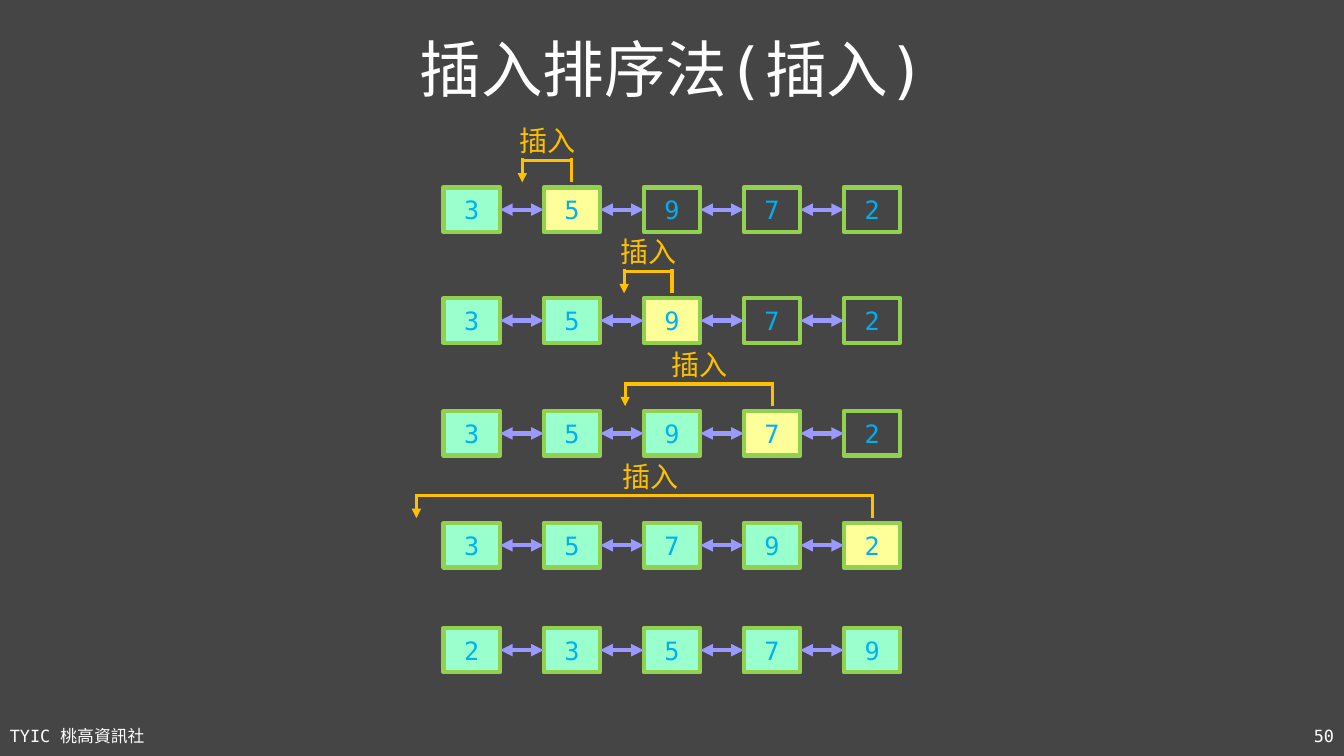
"""Build a slide that traces the insert step of insertion sort."""
from dataclasses import dataclass

from lxml.etree import SubElement
from pptx import Presentation
from pptx.dml.color import RGBColor
from pptx.enum.shapes import MSO_CONNECTOR, MSO_SHAPE
from pptx.enum.text import MSO_ANCHOR, MSO_AUTO_SIZE, PP_ALIGN
from pptx.oxml.ns import qn
from pptx.util import Inches, Pt

TITLE = "插入排序法(插入)"
CLUB = "TYIC 桃高資訊社"
PAGE = "50"
LABEL = "插入"

# top, digits, sorted count, active cell, hook target x, label left
STEPS = [
    (1.86, "35972", 1, 1, 5.18, 5.05),
    (2.96, "35972", 2, 2, 6.19, 6.05),
    (4.08, "35972", 3, 3, 6.20, 6.56),
    (5.19, "35792", 4, 4, 4.13, 6.07),
    (6.23, "23579", 5, None, None, None),
]

FIRST, LAST = 4.4, 8.37
WIDE, HIGH = 0.56, 0.44


@dataclass(frozen=True)
class Theme:
    """Colours, font and type sizes."""
    font: str = "DejaVu Sans Mono"
    back: str = "454545"
    plain: str = "FFFFFF"
    digit: str = "00B0F0"
    edge: str = "92D050"
    done: str = "99FFCC"
    active: str = "FFFF99"
    link: str = "9999FF"
    hook: str = "FFC000"
    head: int = 44
    label: int = 20
    cell: int = 18
    foot: int = 12
    thick: float = 3
    thin: float = 2.25


THEME = Theme()


def tint(code):
    """Turn a hex code into a colour."""
    return RGBColor.from_string(code)


def place(left, top, width, height):
    """Turn a box in inches into lengths."""
    return [Inches(n) for n in (left, top, width, height)]


def write(shape, text, size, color=THEME.plain, align=PP_ALIGN.CENTER,
          anchor=MSO_ANCHOR.MIDDLE, wrap=True, space=None):
    """Put formatted text in a shape."""
    frame = shape.text_frame
    frame.word_wrap = wrap
    frame.vertical_anchor = anchor
    frame.auto_size = MSO_AUTO_SIZE.NONE if wrap else MSO_AUTO_SIZE.SHAPE_TO_FIT_TEXT
    para = frame.paragraphs[0]
    para.alignment = align
    para.line_spacing = space
    run = para.add_run()
    run.text = text
    run.font.size = Pt(size)
    run.font.name = THEME.font
    run.font.color.rgb = tint(color)


def draw_line(group, start, end, color, width, ends=()):
    """Draw a straight line with triangles at the named ends."""
    points = [Inches(n) for n in (*start, *end)]
    line = group.shapes.add_connector(MSO_CONNECTOR.STRAIGHT, *points)
    line.line.color.rgb = tint(color)
    line.line.width = Pt(width)
    props = line._element.spPr
    for name in ends:
        SubElement(props.find(qn("a:ln")), qn(name), type="triangle")
    SubElement(props, qn("a:effectLst"))


def draw_row(group, top, digits, count, active):
    """Draw the cells of one step and the links between them."""
    lefts = [FIRST + (LAST - FIRST) * i / (len(digits) - 1)
             for i in range(len(digits))]
    for i, (left, digit) in enumerate(zip(lefts, digits)):
        cell = group.shapes.add_shape(
            MSO_SHAPE.RECTANGLE, *place(left, top, WIDE, HIGH))
        cell.shadow.inherit = False
        if i < count or i == active:
            cell.fill.solid()
            cell.fill.fore_color.rgb = tint(
                THEME.active if i == active else THEME.done)
        else:
            cell.fill.background()
        cell.line.color.rgb = tint(THEME.edge)
        cell.line.width = Pt(THEME.thick)
        write(cell, digit, THEME.cell, color=THEME.digit)
    mid = top + HIGH / 2
    for left, right in zip(lefts, lefts[1:]):
        draw_line(group, (left + WIDE, mid), (right, mid), THEME.link,
                  THEME.thick, ends=("a:headEnd", "a:tailEnd"))
    return lefts


def draw_hook(group, top, source, target, left):
    """Draw the label and the hook from a cell to its new place."""
    box = group.shapes.add_textbox(*place(left, top - 0.68, 0.76, 0.44))
    write(box, LABEL, THEME.label, color=THEME.hook,
          anchor=MSO_ANCHOR.TOP, wrap=False)
    high, bar, low = top - 0.29, top - 0.27, top - 0.05
    for start, end, ends in [
        ((target, high), (target, low), ("a:tailEnd",)),
        ((source, high), (source, low), ()),
        ((target, bar), (source, bar), ()),
    ]:
        draw_line(group, start, end, THEME.hook, THEME.thin, ends=ends)


def main():
    """Build and save the slide."""
    deck = Presentation()
    deck.slide_width, deck.slide_height = Inches(13.33), Inches(7.5)
    slide = deck.slides.add_slide(deck.slide_layouts[5])
    slide.background.fill.solid()
    slide.background.fill.fore_color.rgb = tint(THEME.back)

    title = slide.shapes.title
    title.left, title.top, title.width, title.height = place(
        0.92, -0.01, 11.5, 1.45)
    write(title, TITLE, THEME.head, space=0.9)

    for text, left, align in [(CLUB, 0, PP_ALIGN.LEFT),
                              (PAGE, 10.33, PP_ALIGN.RIGHT)]:
        box = slide.shapes.add_textbox(*place(left, 7.1, 3, 0.4))
        write(box, text, THEME.foot, align=align)

    for top, digits, count, active, target, left in STEPS:
        lefts = draw_row(slide.shapes.add_group_shape(),
                         top, digits, count, active)
        if active is not None:
            draw_hook(slide.shapes.add_group_shape(), top,
                      lefts[active] + WIDE / 2, target, left)

    deck.save("out.pptx")


if __name__ == "__main__":
    main()
